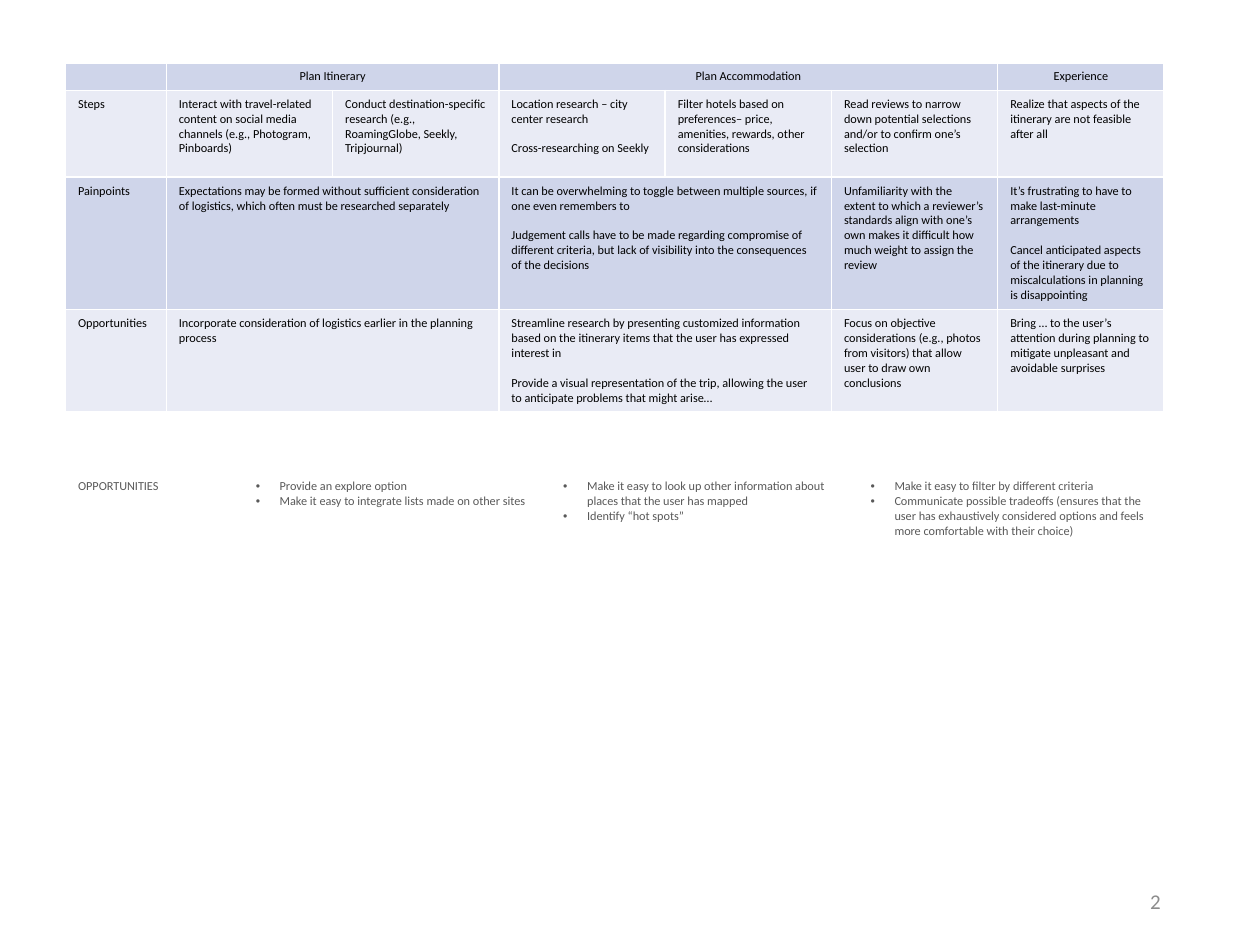
from lxml import etree
from pptx import Presentation
from pptx.dml.color import RGBColor
from pptx.enum.text import MSO_ANCHOR, PP_ALIGN
from pptx.oxml.ns import qn
from pptx.util import Inches, Pt

LEFT, CENTER, RIGHT = PP_ALIGN.LEFT, PP_ALIGN.CENTER, PP_ALIGN.RIGHT
MIDDLE = MSO_ANCHOR.MIDDLE
BLACK = RGBColor(0x00, 0x00, 0x00)
DARK_GRAY = RGBColor(0x59, 0x59, 0x59)
PAGE_GRAY = RGBColor(0x8C, 0x8C, 0x8C)
BANDS = [RGBColor(0xCF, 0xD5, 0xEA), RGBColor(0xE9, 0xEB, 0xF5)]
BORDER_COLOR = "FFFFFF"

# Each entry is (columns spanned, paragraphs)
JOURNEY = [
    [(1, []), (2, ["Plan Itinerary"]), (3, ["Plan Accommodation"]), (1, ["Experience"])],
    [
        (1, ["Steps"]),
        (1, ["Interact with travel-related content on social media channels (e.g., Photogram, Pinboards)"]),
        (1, ["Conduct destination-specific research (e.g., RoamingGlobe, Seekly, Tripjournal)"]),
        (1, ["Location research – city center research", "Cross-researching on Seekly"]),
        (1, ["Filter hotels based on preferences– price, amenities, rewards, other considerations"]),
        (1, ["Read reviews to narrow down potential selections and/or to confirm one’s selection"]),
        (1, ["Realize that aspects of the itinerary are not feasible after all"]),
    ],
    [
        (1, ["Painpoints"]),
        (2, ["Expectations may be formed without sufficient consideration of logistics, "
             "which often must be researched separately"]),
        (2, ["It can be overwhelming to toggle between multiple sources, if one even remembers to",
             "Judgement calls have to be made regarding compromise of different criteria, "
             "but lack of visibility into the consequences of the decisions"]),
        (1, ["Unfamiliarity with the extent to which a reviewer’s standards align with one’s own "
             "makes it difficult how much weight to assign the review"]),
        (1, ["It’s frustrating to have to make last-minute arrangements",
             "Cancel anticipated aspects of the itinerary due to miscalculations in planning is disappointing"]),
    ],
    [
        (1, ["Opportunities"]),
        (2, ["Incorporate consideration of logistics earlier in the planning process"]),
        (2, ["Streamline research by presenting customized information based on the itinerary items "
             "that the user has expressed interest in",
             "Provide a visual representation of the trip, allowing the user to anticipate problems "
             "that might arise…"]),
        (1, ["Focus on objective considerations (e.g., photos from visitors) that allow user "
             "to draw own conclusions"]),
        (1, ["Bring … to the user’s attention during planning to mitigate unpleasant and avoidable surprises"]),
    ],
]
IDEAS = [
    ["OPPORTUNITIES"],
    ["Provide an explore option", "Make it easy to integrate lists made on other sites"],
    ["Make it easy to look up other information about places that the user has mapped",
     "Identify “hot spots”"],
    ["Make it easy to filter by different criteria",
     "Communicate possible tradeoffs (ensures that the user has exhaustively considered options "
     "and feels more comfortable with their choice)"],
]
JOURNEY_COLUMNS = [0.8] + [1.32] * 6
JOURNEY_ROWS = [0.21, 0.69, 1.05, 0.81]
IDEA_COLUMNS = [1.41] + [2.44] * 3
IDEA_ROWS = [0.57]
TABLE_LEFT = 0.52


def write(frame, lines, color, size=7, align=LEFT, gap=0):
    for index, line in enumerate(lines):
        para = frame.paragraphs[0] if index == 0 else frame.add_paragraph()
        para.alignment = align
        para.space_before = Pt(gap if index else 0)
        span = para.add_run()
        span.text = line
        for name, value in {"name": "Calibri", "size": Pt(size), "bold": False}.items():
            setattr(span.font, name, value)
        span.font.color.rgb = color


def shrink_empty(cell):
    para = cell.text_frame.paragraphs[0]
    etree.SubElement(para._p, qn("a:endParaRPr")).set("sz", "700")


def add_bullet(para):
    properties = para._p.get_or_add_pPr()
    properties.set("marL", str(Inches(0.19)))
    properties.set("indent", str(-Inches(0.19)))
    etree.SubElement(properties, qn("a:buFont")).set("typeface", "Arial")
    etree.SubElement(properties, qn("a:buChar")).set("char", "•")


def add_borders(cell):
    properties = cell._tc.get_or_add_tcPr()
    for index, side in enumerate(("a:lnL", "a:lnR", "a:lnT", "a:lnB")):
        line = etree.Element(qn(side), w=str(Pt(1)))
        fill = etree.SubElement(line, qn("a:solidFill"))
        etree.SubElement(fill, qn("a:srgbClr")).set("val", BORDER_COLOR)
        properties.insert(index, line)


def add_grid(page, top, widths, heights):
    table = page.shapes.add_table(
        len(heights), len(widths), Inches(TABLE_LEFT), Inches(top),
        Inches(sum(widths)), Inches(sum(heights))).table
    table.first_row = False
    table.horz_banding = False
    for column, width in zip(table.columns, widths):
        column.width = Inches(width)
    for row, height in zip(table.rows, heights):
        row.height = Inches(height)
    return table


def add_journey(page):
    table = add_grid(page, 0.5, JOURNEY_COLUMNS, JOURNEY_ROWS)
    for row, entries in enumerate(JOURNEY):
        for column in range(len(JOURNEY_COLUMNS)):
            cell = table.cell(row, column)
            cell.fill.solid()
            cell.fill.fore_color.rgb = BANDS[row % 2]
            add_borders(cell)
        column = 0
        for width, lines in entries:
            cell = table.cell(row, column)
            if width > 1:
                cell.merge(table.cell(row, column + width - 1))
            write(cell.text_frame, lines, BLACK, align=LEFT if row else CENTER, gap=8.5)
            column += width
    for cell in table.iter_cells():
        if not cell.text_frame.text:
            shrink_empty(cell)


def add_ideas(page):
    table = add_grid(page, 3.75, IDEA_COLUMNS, IDEA_ROWS)
    for column, lines in enumerate(IDEAS):
        cell = table.cell(0, column)
        cell.fill.background()
        write(cell.text_frame, lines, DARK_GRAY)
        if column:
            for para in cell.text_frame.paragraphs:
                add_bullet(para)


def add_page_number(page):
    box = page.shapes.add_textbox(Inches(7.06), Inches(6.95), Inches(2.25), Inches(0.4))
    box.text_frame.word_wrap = True
    box.text_frame.vertical_anchor = MIDDLE
    write(box.text_frame, ["2"], PAGE_GRAY, size=12, align=RIGHT)


def main():
    deck = Presentation()
    deck.slide_width, deck.slide_height = Inches(10), Inches(7.5)
    page = deck.slides.add_slide(deck.slide_layouts[6])
    add_page_number(page)
    add_journey(page)
    add_ideas(page)
    deck.save("out.pptx")


if __name__ == "__main__":
    main()
